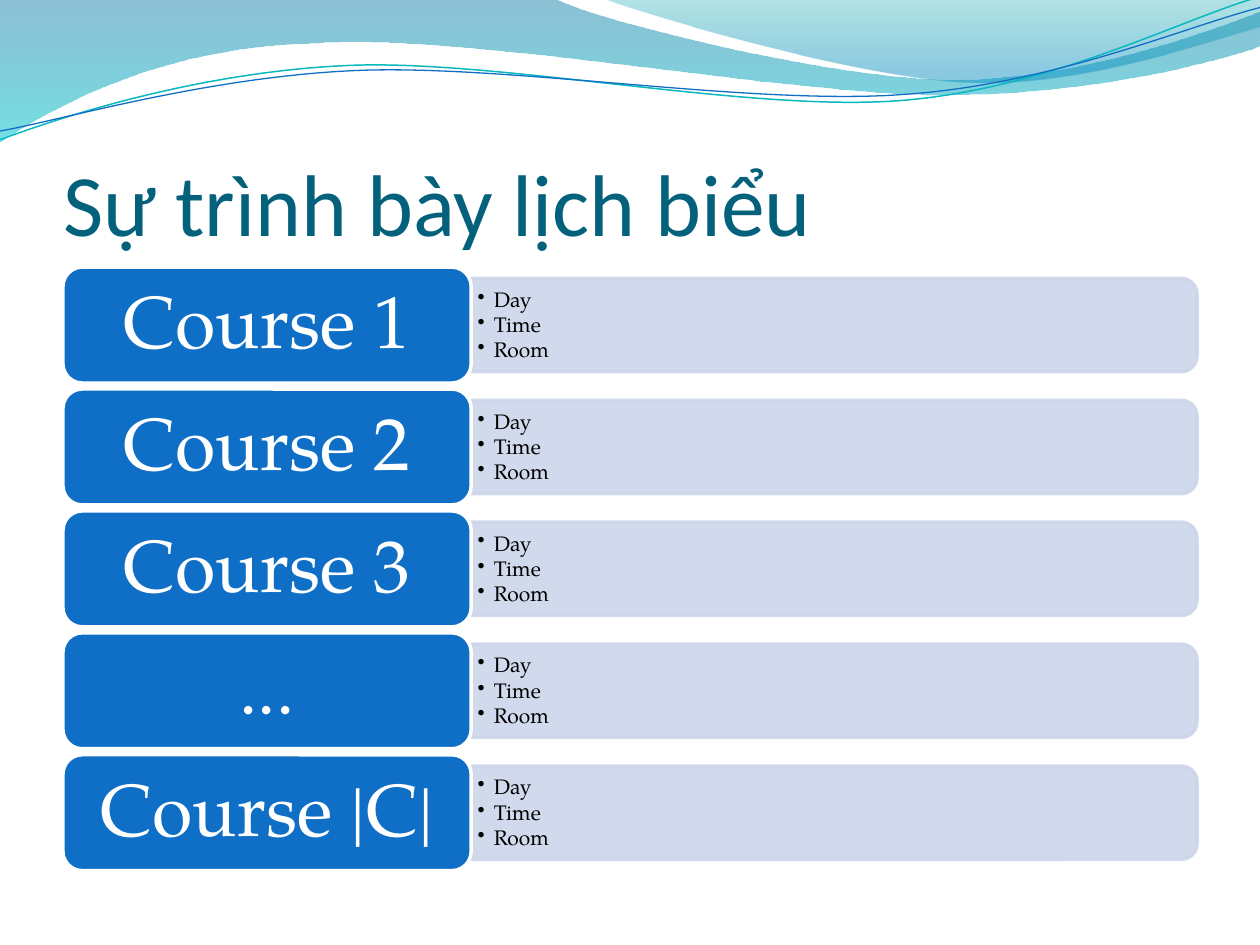
"""Build the schedule representation slide: wave header, title and one row per course."""
import pptx
import pptx.dml.color
import pptx.enum.shapes
import pptx.enum.text
import pptx.oxml.ns
import pptx.util
from lxml import etree

Inches = pptx.util.Inches
Pt = pptx.util.Pt
qn = pptx.oxml.ns.qn
RGB = pptx.dml.color.RGBColor.from_string
SHAPES = pptx.enum.shapes.MSO_SHAPE
ANCHOR = pptx.enum.text.MSO_ANCHOR
ALIGN = pptx.enum.text.PP_ALIGN

COLORS = {
    "title": "04617B", "card": "0F6FC6", "bar": "CCD5EA", "white": "FFFFFF", "black": "000000",
    "deep": "0074A1", "aqua": "00C6CF", "teal": "00A1A9", "sky": "008BBF", "teal_line": "0AB8BF",
}
BODY_FONT = "TeX Gyre Pagella"


def add_curve(shapes, start, segments, closed):
    """Draw an outline whose segments are end points or cubic curves (three points)."""
    corners = [(Inches(x), Inches(y)) for segment in segments for x, y in zip(segment[::2], segment[1::2])]
    builder = shapes.build_freeform(Inches(start[0]), Inches(start[1]))
    builder.add_line_segments(corners, close=closed)
    curve = builder.convert_to_shape()
    curve.shadow.inherit = False
    steps = iter(list(curve._element.spPr.iter(qn("a:lnTo"))))
    for segment in segments:
        step = next(steps)
        if len(segment) == 6:
            step.addprevious(bend := etree.Element(qn("a:cubicBezTo")))
            for part in (step, next(steps), next(steps)):
                bend.append(part[0])
                part.getparent().remove(part)
    return curve


def set_alphas(shape, alphas):
    """Set the opacity in percent of the shape's colours, in order."""
    for color, alpha in zip(shape._element.spPr.iter(qn("a:srgbClr")), alphas):
        etree.SubElement(color, qn("a:alpha")).set("val", str(alpha * 1000))


prs = pptx.Presentation()
prs.slide_width, prs.slide_height = Inches(10), Inches(7.5)
slide = prs.slides.add_slide(prs.slide_layouts[5])
shapes = slide.shapes

waves = [
    ((0, 0), [(4.4, -0.01), (4.76, 0.17, 6.64, 0.63, 7.58, 0.63), (8.53, 0.63, 9.58, 0.26, 10, 0.09),
              (10.01, 0.36), (9.83, 0.44, 8.7, 0.76, 7.46, 0.75), (6.22, 0.75, 3.82, 0.28, 2.57, 0.34),
              (1.29, 0.36, 0.46, 0.83, -0.01, 1.13)],
     [(0, "deep", 45), (1, "aqua", 55)]),
    ((4.79, -0.01), [(5.09, 0.11, 6.82, 0.62, 7.69, 0.65), (8.56, 0.69, 9.61, 0.32, 10, 0.21), (10, 0)],
     [(0, "teal", 30), (0.8, "sky", 45)]),
]
for start, segments, stops in waves:
    wave = add_curve(shapes, start, segments, True)
    wave.line.fill.background()
    wave.fill.gradient()
    wave.fill.gradient_angle = 270
    for gradient_stop, (position, color, alpha) in zip(wave.fill.gradient_stops, stops):
        gradient_stop.position = position
        gradient_stop.color.rgb = RGB(COLORS[color])
    set_alphas(wave, [alpha for position, color, alpha in stops])

ripples = [
    ((0, 1.11), [(0.48, 0.93, 1.58, 0.57, 2.77, 0.52), (3.95, 0.47, 5.93, 0.89, 7.13, 0.8),
                 (8.33, 0.71, 9.38, 0.15, 9.98, -0.02)], "teal_line", 0.85),
    ((0, 1.04), [(0.47, 0.96, 1.64, 0.61, 2.83, 0.56), (4.03, 0.51, 5.97, 0.84, 7.17, 0.75),
                 (8.36, 0.67, 9.41, 0.21, 10, 0.06)], "card", 0.75),
]
for start, segments, color, width in ripples:
    ripple = add_curve(shapes, start, segments, False)
    ripple.fill.background()
    ripple.line.color.rgb = RGB(COLORS[color])
    ripple.line.width = Pt(width)

title = shapes.title
shapes._spTree.append(title._element)
title.left, title.top, title.width, title.height = Inches(0.5), Inches(0.77), Inches(9), Inches(1.25)
title_frame = title.text_frame
title_frame.text = "Sự trình bày lịch biểu"
title_frame.vertical_anchor = ANCHOR.BOTTOM
title_frame.margin_left = title_frame.margin_right = title_frame.margin_bottom = 0
title_frame.margin_top = Inches(0.05)
heading = title_frame.paragraphs[0]
heading.alignment = ALIGN.LEFT
heading.font.size = Pt(50)
heading.font.name = "Calibri"
heading.font.color.rgb = RGB(COLORS["title"])

courses = ["Course 1", "Course 2", "Course 3", "...", "Course |C|"]
first_top, last_top = 2.12, 5.99
pitch = (last_top - first_top) / (len(courses) - 1)
card_left, card_width, card_height = 0.5, 3.24, 0.92
bar_left = card_left + card_width
bar_length, bar_height = 5.76, 0.74

for row, course in enumerate(courses):
    top = first_top + row * pitch
    middle = top + card_height / 2

    bar = shapes.add_shape(
        SHAPES.ROUND_2_SAME_RECTANGLE,
        Inches(bar_left + (bar_length - bar_height) / 2), Inches(middle - bar_length / 2),
        Inches(bar_height), Inches(bar_length))
    bar.rotation = 90
    bar.shadow.inherit = False
    bar.fill.solid()
    bar.fill.fore_color.rgb = RGB(COLORS["bar"])
    bar.line.color.rgb = RGB(COLORS["bar"])
    bar.line.width = Pt(2)
    set_alphas(bar, [90, 90])

    details = shapes.add_textbox(
        Inches(bar_left), Inches(middle - 0.33), Inches(5.72), Inches(0.67)).text_frame
    details.word_wrap = True
    details.vertical_anchor = ANCHOR.MIDDLE
    details.margin_left = details.margin_right = Inches(0.05)
    details.margin_top = details.margin_bottom = Inches(0.03)
    details.text = "Day\nTime\nRoom"
    for detail in details.paragraphs:
        detail.level = 1
        detail.line_spacing = 0.9
        detail.space_after = Pt(1.5)
        detail.font.size = Pt(12)
        detail.font.name = BODY_FONT
        detail.font.color.rgb = RGB(COLORS["black"])
        properties = detail._p.get_or_add_pPr()
        properties.set("marL", str(Inches(0.13)))
        properties.set("indent", str(-Inches(0.13)))
        spacing = properties.find(qn("a:spcAft"))
        spacing.addnext(etree.Element(qn("a:buChar"), char="•"))
        spacing.addnext(etree.Element(qn("a:buFontTx")))

    card = shapes.add_shape(
        SHAPES.ROUNDED_RECTANGLE, Inches(card_left), Inches(top), Inches(card_width), Inches(card_height))
    card.shadow.inherit = False
    card.fill.solid()
    card.fill.fore_color.rgb = RGB(COLORS["card"])
    card.line.color.rgb = RGB(COLORS["white"])
    card.line.width = Pt(2)
    card_frame = card.text_frame
    card_frame.vertical_anchor = ANCHOR.MIDDLE
    card_frame.margin_left = card_frame.margin_right = Inches(0.17)
    card_frame.margin_top = card_frame.margin_bottom = Inches(0.09)
    card_frame.text = course
    label = card_frame.paragraphs[0]
    label.alignment = ALIGN.CENTER
    label.line_spacing = 0.9
    label.font.size = Pt(42)
    label.font.name = BODY_FONT
    label.font.color.rgb = RGB(COLORS["white"])

prs.save("out.pptx")
